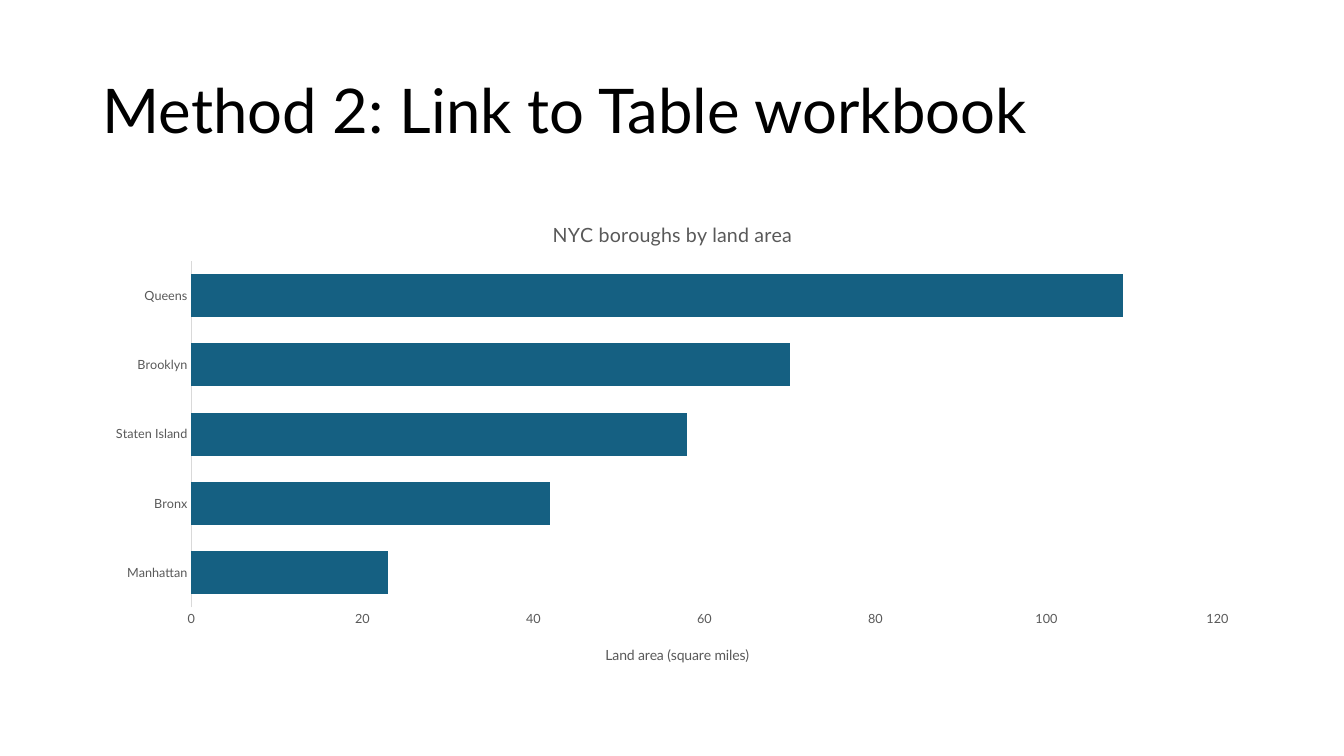
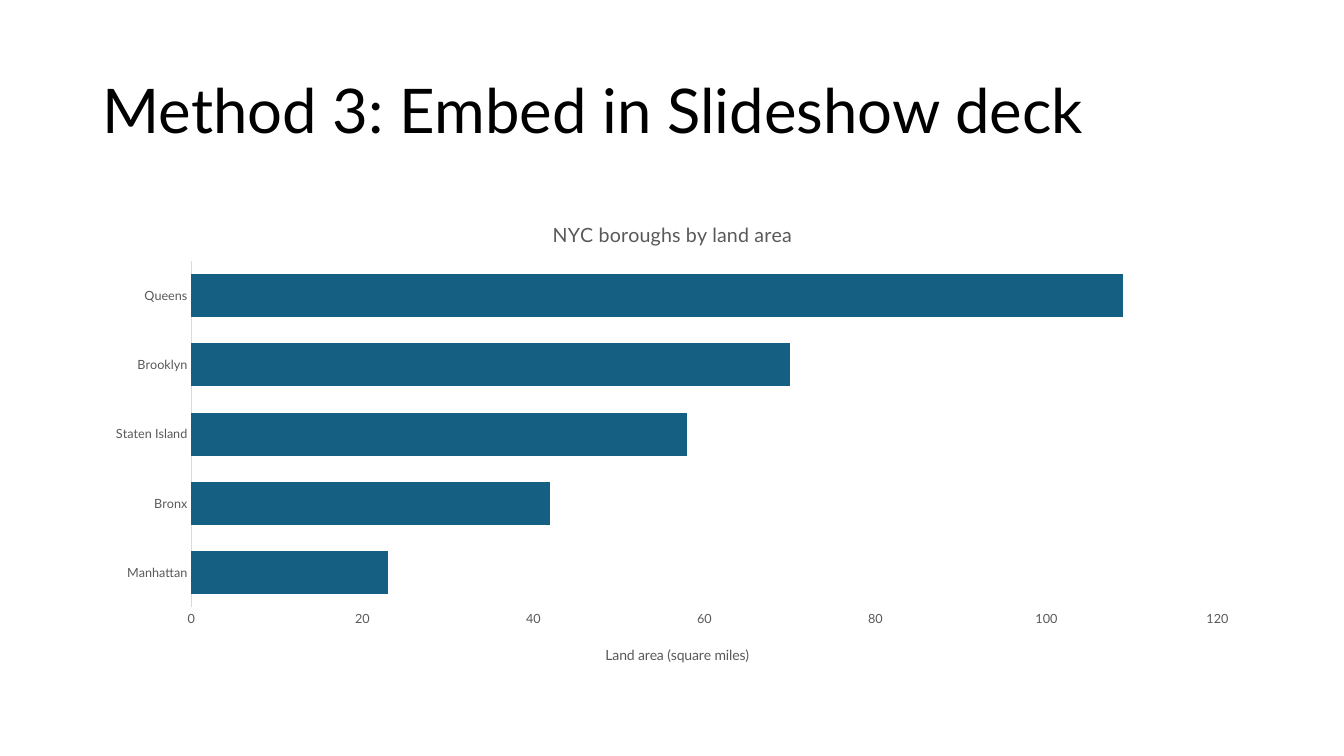
from lxml.etree import SubElement
from pptx import Presentation
from pptx.chart.data import CategoryChartData
from pptx.dml.color import RGBColor
from pptx.enum.chart import XL_CHART_TYPE as ChartType, XL_TICK_MARK as TickMark
from pptx.enum.text import MSO_ANCHOR as Anchor
from pptx.oxml.ns import qn
from pptx.util import Inches, Pt

# Shared style
WIDTH, HEIGHT = Inches(13.33), Inches(7.5)
BLACK = RGBColor(0x00, 0x00, 0x00)
GREY = RGBColor(0x59, 0x59, 0x59)
PALE = RGBColor(0xD9, 0xD9, 0xD9)
TEAL = RGBColor(0x15, 0x60, 0x82)
FACE = "Lato"
MARGIN, CONTENT = Inches(0.92), Inches(11.5)
TITLE_TOP, TITLE_HEIGHT = Inches(0.4), Inches(1.45)
CHART_TOP, CHART_HEIGHT = Inches(2), Inches(4.76)

# Content
TITLES = ("Method 2: Link to Table workbook", "Method 3: Embed in Slideshow deck")
LAND_AREA = {"Manhattan": 23, "Bronx": 42, "Staten Island": 58,
             "Brooklyn": 70, "Queens": 109}


def set_all(target, values):
    for name, value in values.items():
        setattr(target, name, value)


def style_font(font, size, color):
    set_all(font, {"name": FACE, "size": Pt(size), "bold": False})
    font.color.rgb = color


def write(frame, text, size, color):
    para = frame.paragraphs[0]
    span = para.add_run()
    span.text = text
    style_font(span.font, size, color)
    return para


def place(parent, **shares):
    """Fix a chart part's position, as shares of the chart's size."""
    layout = parent.find(qn("c:layout"))
    if layout is None:
        layout = SubElement(parent, qn("c:layout"))
        parent.insert(0, layout)
    manual = SubElement(layout, qn("c:manualLayout"))
    for tag, value in shares.items():
        SubElement(manual, qn(f"c:{tag}")).set("val", str(value))


def add_title(page, text):
    box = page.shapes.add_textbox(MARGIN, TITLE_TOP, CONTENT, TITLE_HEIGHT)
    set_all(box.text_frame, {"word_wrap": True, "vertical_anchor": Anchor.MIDDLE})
    write(box.text_frame, text, 44, BLACK).line_spacing = 0.9


def style_axis(axis):
    set_all(axis, {"major_tick_mark": TickMark.NONE, "minor_tick_mark": TickMark.NONE,
                   "has_major_gridlines": False})
    style_font(axis.tick_labels.font, 9, GREY)


def add_bar_chart(page):
    data = CategoryChartData()
    data.categories = list(LAND_AREA)
    data.add_series("Series 1", list(LAND_AREA.values()))
    chart = page.shapes.add_chart(ChartType.BAR_CLUSTERED, MARGIN, CHART_TOP,
                                  CONTENT, CHART_HEIGHT, data).chart
    style_font(chart.font, 10, BLACK)
    set_all(chart, {"has_legend": False, "has_title": True})
    write(chart.chart_title.text_frame, "NYC boroughs by land area", 14, GREY)

    # Bars
    plot = chart.plots[0]
    set_all(plot, {"gap_width": 61, "overlap": -6, "vary_by_categories": False})
    fill = plot.series[0].format.fill
    fill.solid()
    fill.fore_color.rgb = TEAL

    # Axes
    boroughs, miles = chart.category_axis, chart.value_axis
    for axis in (boroughs, miles):
        style_axis(axis)
    boroughs.format.line.color.rgb = PALE
    boroughs.format.line.width = Pt(0.75)
    miles.format.line.fill.background()
    set_all(miles, {"minimum_scale": 0, "maximum_scale": 120, "major_unit": 20})
    write(miles.axis_title.text_frame, "Land area (square miles)", 10, GREY)

    # Positions inside the chart
    place(miles.axis_title.element, xMode="edge", yMode="edge", x=0.44, y=0.92)
    place(chart.element.chart.plotArea, layoutTarget="inner", xMode="edge",
          yMode="edge", x=0.085, y=0.124, w=0.885, h=0.722)


def main():
    deck = Presentation()
    set_all(deck, {"slide_width": WIDTH, "slide_height": HEIGHT})
    for title in TITLES:
        page = deck.slides.add_slide(deck.slide_layouts[6])
        add_title(page, title)
        add_bar_chart(page)
    deck.save("out.pptx")


if __name__ == "__main__":
    main()
